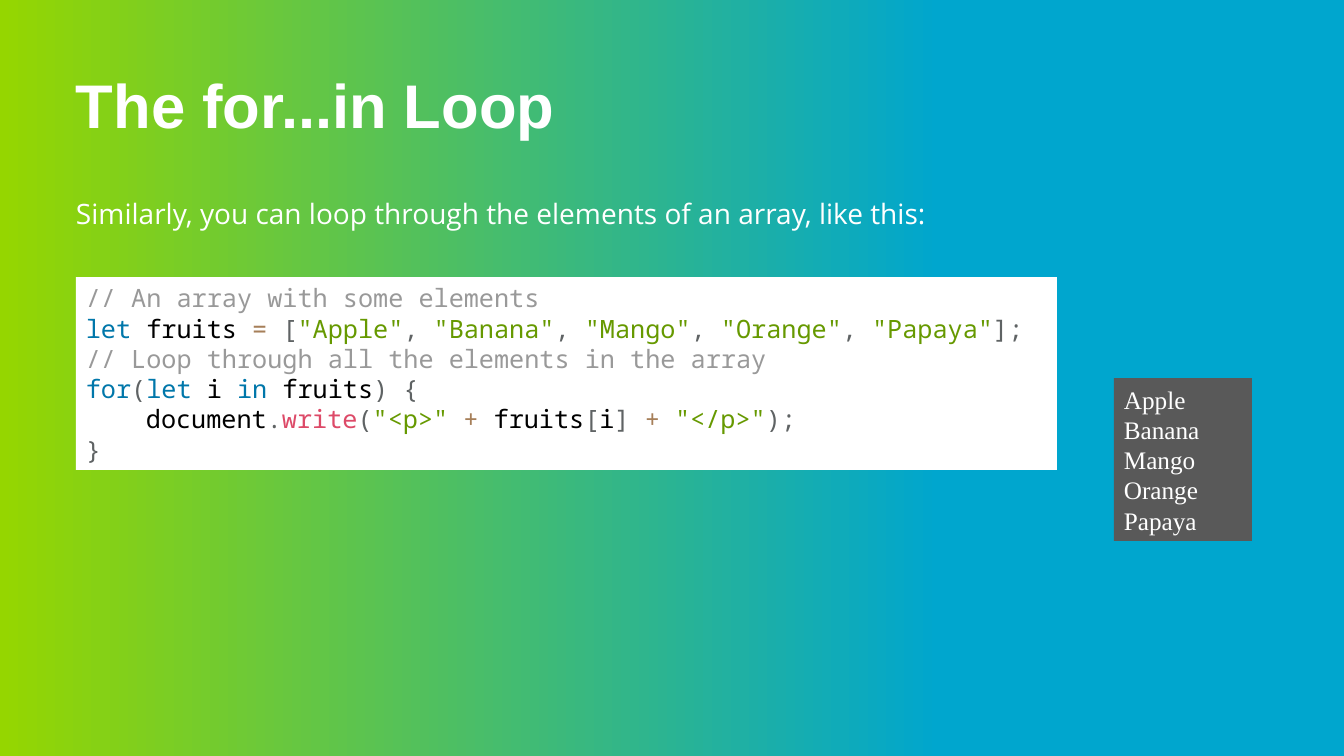
from dataclasses import dataclass

from pptx import Presentation
from pptx.dml.color import RGBColor
from pptx.enum.shapes import MSO_SHAPE
from pptx.enum.text import MSO_ANCHOR as Anchor, PP_ALIGN as Align
from pptx.util import Emu, Pt

EMU_PER_PX = 914400 / 100.8
COLORS = {
    "blue": "00A6CE",
    "green": "95D600",
    "white": "FFFFFF",
    "output": "595959",
    "comment": "999999",
    "keyword": "0077AA",
    "name": "000000",
    "operator": "A67F59",
    "mark": "5F6364",
    "string": "669900",
    "function": "DD4A68",
}
FRUITS = ["Apple", "Banana", "Mango", "Orange", "Papaya"]


@dataclass
class Span:
    text: str
    color: str = "white"


@dataclass
class Line:
    spans: list[Span]
    indent: int = 0


@dataclass
class Panel:
    left: int
    top: int
    width: int
    height: int
    fill: str
    font: str
    lines: list[Line]


def px(length: float) -> Emu:
    return Emu(round(length * EMU_PER_PX))


def rgb(name: str) -> RGBColor:
    return RGBColor.from_string(COLORS[name])


def apply(target, values: dict) -> None:
    for name, value in values.items():
        setattr(target, name, value)


def place(box, left: int, top: int, width: int, height: int) -> None:
    apply(box, {"left": px(left), "top": px(top),
                "width": px(width), "height": px(height)})


def add_span(para, span: Span, font: str, size: int, bold: bool = False) -> None:
    run = para.add_run()
    run.text = span.text
    apply(run.font, {"name": font, "size": Pt(size), "bold": bold})
    run.font.color.rgb = rgb(span.color)


def write_line(box, text: str, font: str, size: int, bold: bool = False):
    apply(box.text_frame, {"word_wrap": True, "margin_left": 0,
                           "vertical_anchor": Anchor.TOP})
    para = box.text_frame.paragraphs[0]
    para.alignment = Align.LEFT
    add_span(para, Span(text), font, size, bold)
    return para


def draw_panel(page, panel: Panel) -> None:
    box = page.shapes.add_shape(MSO_SHAPE.RECTANGLE, 0, 0, 0, 0)
    place(box, panel.left, panel.top, panel.width, panel.height)
    box.shadow.inherit = False
    box.fill.solid()
    box.fill.fore_color.rgb = rgb(panel.fill)
    box.line.fill.background()
    frame = box.text_frame
    apply(frame, {"word_wrap": True, "vertical_anchor": Anchor.MIDDLE})
    for index, line in enumerate(panel.lines):
        para = frame.add_paragraph() if index else frame.paragraphs[0]
        para.alignment = Align.LEFT
        if line.indent:
            para._p.get_or_add_pPr().set("marL", str(px(line.indent)))
        for span in line.spans:
            add_span(para, span, panel.font, 18)


def paint_background(page) -> None:
    fill = page.background.fill
    fill.gradient()
    fill.gradient_angle = 180
    for stop, (position, color) in zip(fill.gradient_stops,
                                       [(0.3, "blue"), (1, "green")]):
        stop.position = position
        stop.color.rgb = rgb(color)


def array_spans() -> list[Span]:
    spans = []
    for fruit in FRUITS:
        spans += [Span(f'"{fruit}"', "string"), Span(", ", "mark")]
    return spans[:-1]


CODE = [
    Line([Span("// An array with some elements", "comment")]),
    Line([Span("let ", "keyword"), Span("fruits ", "name"),
          Span("= ", "operator"), Span("[", "mark"),
          *array_spans(), Span("];", "mark")]),
    Line([Span("// Loop through all the elements in the array", "comment")]),
    Line([Span("for", "keyword"), Span("(", "mark"), Span("let ", "keyword"),
          Span("i ", "name"), Span("in", "keyword"), Span(" fruits", "name"),
          Span(") {", "mark")]),
    Line([Span("document", "name"), Span(".", "mark"),
          Span("write", "function"), Span("(", "mark"),
          Span('"<p>" ', "string"), Span("+", "operator"),
          Span(" fruits", "name"), Span("[", "mark"), Span("i", "name"),
          Span("] ", "mark"), Span("+ ", "operator"),
          Span('"</p>"', "string"), Span(");", "mark")], indent=60),
    Line([Span("}", "mark")]),
]
PANELS = [
    Panel(76, 277, 981, 193, "white", "Noto Sans Mono", CODE),
    Panel(1114, 378, 138, 163, "output", "Times New Roman",
          [Line([Span(fruit)]) for fruit in FRUITS]),
]


def main() -> None:
    deck = Presentation()
    apply(deck, {"slide_width": px(1344), "slide_height": px(756)})
    page = deck.slides.add_slide(deck.slide_layouts[5])
    paint_background(page)

    title = page.shapes.title
    place(title, 76, 70, 1192, 76)
    write_line(title, "The for...in Loop", "Arial", 44, True).line_spacing = 0.9

    intro = page.shapes.add_textbox(0, 0, 0, 0)
    place(intro, 76, 192, 1192, 536)
    write_line(intro, "Similarly, you can loop through the elements of an array, like this:",
               "Open Sans", 20)

    for panel in PANELS:
        draw_panel(page, panel)
    deck.save("out.pptx")


if __name__ == "__main__":
    main()
